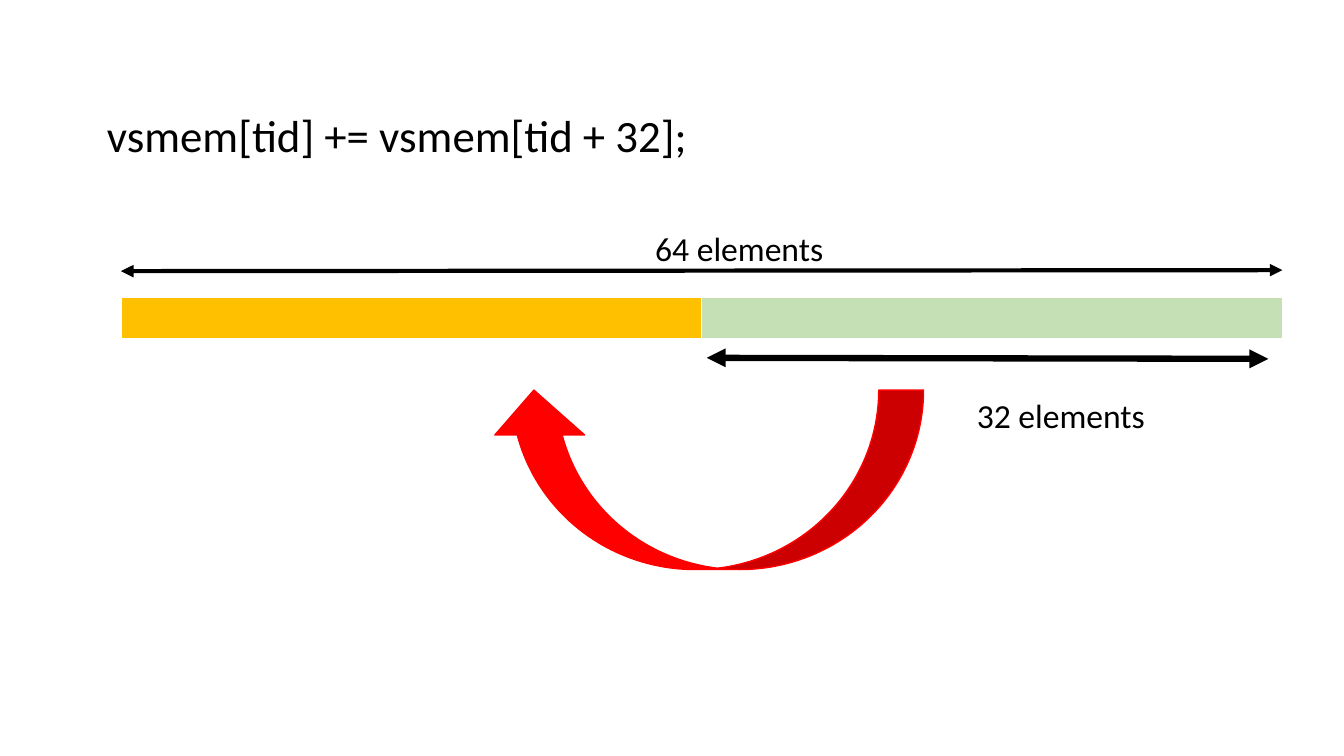
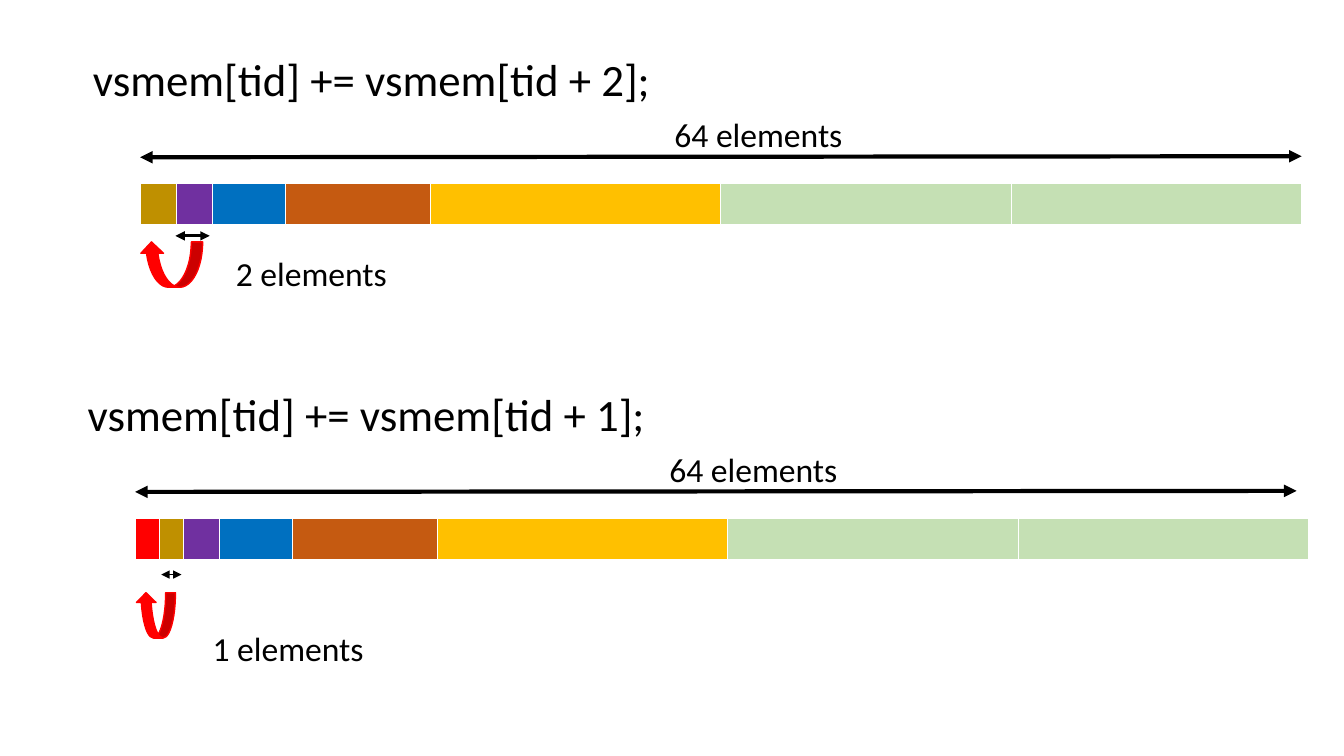
from dataclasses import dataclass
from typing import NamedTuple

from lxml.etree import SubElement
from pptx import Presentation
from pptx.dml.color import RGBColor
from pptx.enum.shapes import MSO_CONNECTOR, MSO_SHAPE
from pptx.enum.text import MSO_ANCHOR, MSO_AUTO_SIZE, PP_ALIGN
from pptx.oxml.ns import qn
from pptx.util import Emu, Pt

EMU_PER_PX = 9144  # 100 px to the inch
FONT = "Calibri"
TITLE_ONLY = 5

BLACK = RGBColor(0x00, 0x00, 0x00)
RED = RGBColor(0xFF, 0x00, 0x00)
OLIVE = RGBColor(0xBF, 0x90, 0x00)
PURPLE = RGBColor(0x70, 0x30, 0xA0)
BLUE = RGBColor(0x00, 0x70, 0xC0)
RUST = RGBColor(0xC5, 0x5A, 0x11)
GOLD = RGBColor(0xFF, 0xC0, 0x00)
GREEN = RGBColor(0xC5, 0xE0, 0xB4)

BAR_WIDTH, BAR_HEIGHT = 1152, 41
STATEMENT_SIZE, LABEL_SIZE = 32, 24


class Point(NamedTuple):
    x: int
    y: int


class Box(NamedTuple):
    left: int
    top: int
    width: int
    height: int


class Segment(NamedTuple):
    width: int
    color: RGBColor


class Span(NamedTuple):
    start: Point
    end: Point
    weight: float


@dataclass(frozen=True)
class Step:
    """One reduction step: the upper elements are added to the lower ones."""
    stride: int
    statement: Point
    bar: Point
    segments: tuple[Segment, ...]
    stride_span: Span
    stride_label: Point
    fold: Box


HALVES = (Segment(576, GOLD), Segment(576, GREEN))
UPPER = (Segment(36, PURPLE), Segment(72, BLUE), Segment(144, RUST),
         Segment(288, GOLD), Segment(288, GREEN), Segment(288, GREEN))

SLIDES = (
    (Step(32, Point(96, 102), Point(120, 295), HALVES,
          Span(Point(701, 355), Point(1258, 356), 4.5),
          Point(959, 387), Box(485, 387, 431, 178)),),
    (Step(2, Point(82, 46), Point(139, 182), (Segment(36, OLIVE), *UPPER),
          Span(Point(174, 234), Point(208, 234), 2.25),
          Point(224, 246), Box(139, 240, 62, 45)),
     Step(1, Point(77, 379), Point(134, 514),
          (Segment(23, RED), Segment(23, OLIVE), *UPPER),
          Span(Point(160, 570), Point(180, 570), 1),
          Point(201, 618), Box(135, 588, 39, 45))),
)


def px(length: int) -> Emu:
    return Emu(length * EMU_PER_PX)


def emu(lengths: tuple[int, ...]) -> list[Emu]:
    return [px(length) for length in lengths]


def write(shape, text: str, size: int) -> None:
    frame = shape.text_frame
    frame.word_wrap = True
    frame.auto_size = MSO_AUTO_SIZE.SHAPE_TO_FIT_TEXT
    frame.vertical_anchor = MSO_ANCHOR.TOP
    para = frame.paragraphs[0]
    para.alignment = PP_ALIGN.LEFT
    run = para.add_run()
    run.text = text
    run.font.name = FONT
    run.font.size = Pt(size)
    run.font.color.rgb = BLACK


def add_text(page, box: Box, text: str, size: int) -> None:
    write(page.shapes.add_textbox(*emu(box)), text, size)


def add_statement(page, step: Step, is_title: bool) -> None:
    box = Box(*step.statement, 617, 64)
    text = f"vsmem[tid] += vsmem[tid + {step.stride}];"
    if is_title:
        title = page.shapes.title
        title.left, title.top, title.width, title.height = emu(box)
        write(title, text, STATEMENT_SIZE)
    else:
        add_text(page, box, text, STATEMENT_SIZE)


def add_label(page, corner: Point, count: int) -> None:
    add_text(page, Box(*corner, 238, 50), f"{count} elements", LABEL_SIZE)


def add_bar(page, corner: Point, segments: tuple[Segment, ...]) -> None:
    width = sum(segment.width for segment in segments)
    box = Box(*corner, width, BAR_HEIGHT)
    table = page.shapes.add_table(1, len(segments), *emu(box)).table
    for index, segment in enumerate(segments):
        table.columns[index].width = px(segment.width)
        fill = table.cell(0, index).fill
        fill.solid()
        fill.fore_color.rgb = segment.color


def add_span(page, span: Span) -> None:
    """Draw a measuring line with an arrowhead at each end."""
    arrow = page.shapes.add_connector(
        MSO_CONNECTOR.STRAIGHT, *emu(span.start), *emu(span.end))
    arrow.line.color.rgb = BLACK
    arrow.line.width = Pt(span.weight)
    outline = arrow.line._get_or_add_ln()
    for tag in ("a:headEnd", "a:tailEnd"):
        SubElement(outline, qn(tag), type="triangle")
    SubElement(arrow._element.spPr, qn("a:effectLst"))


def add_fold(page, box: Box) -> None:
    """Draw the curved arrow from the added elements to their target."""
    fold = page.shapes.add_shape(MSO_SHAPE.CURVED_DOWN_ARROW, *emu(box))
    fold.rotation = 180
    fold.shadow.inherit = False
    fold.fill.solid()
    fold.fill.fore_color.rgb = RED
    fold.line.color.rgb = RED
    fold.line.width = Pt(1)


def add_step(page, step: Step, is_title: bool) -> None:
    left, top = step.bar
    add_statement(page, step, is_title)
    add_bar(page, step.bar, step.segments)
    add_span(page, Span(Point(left, top - 26),
                        Point(left + BAR_WIDTH, top - 27), 3))
    add_label(page, Point(left + 520, top - 74), 64)
    add_span(page, step.stride_span)
    add_fold(page, step.fold)
    add_label(page, step.stride_label, step.stride)


def main() -> None:
    deck = Presentation()
    deck.slide_width, deck.slide_height = px(1333), px(750)
    for steps in SLIDES:
        page = deck.slides.add_slide(deck.slide_layouts[TITLE_ONLY])
        for index, step in enumerate(steps):
            add_step(page, step, is_title=index == 0)
    deck.save("out.pptx")


if __name__ == "__main__":
    main()
